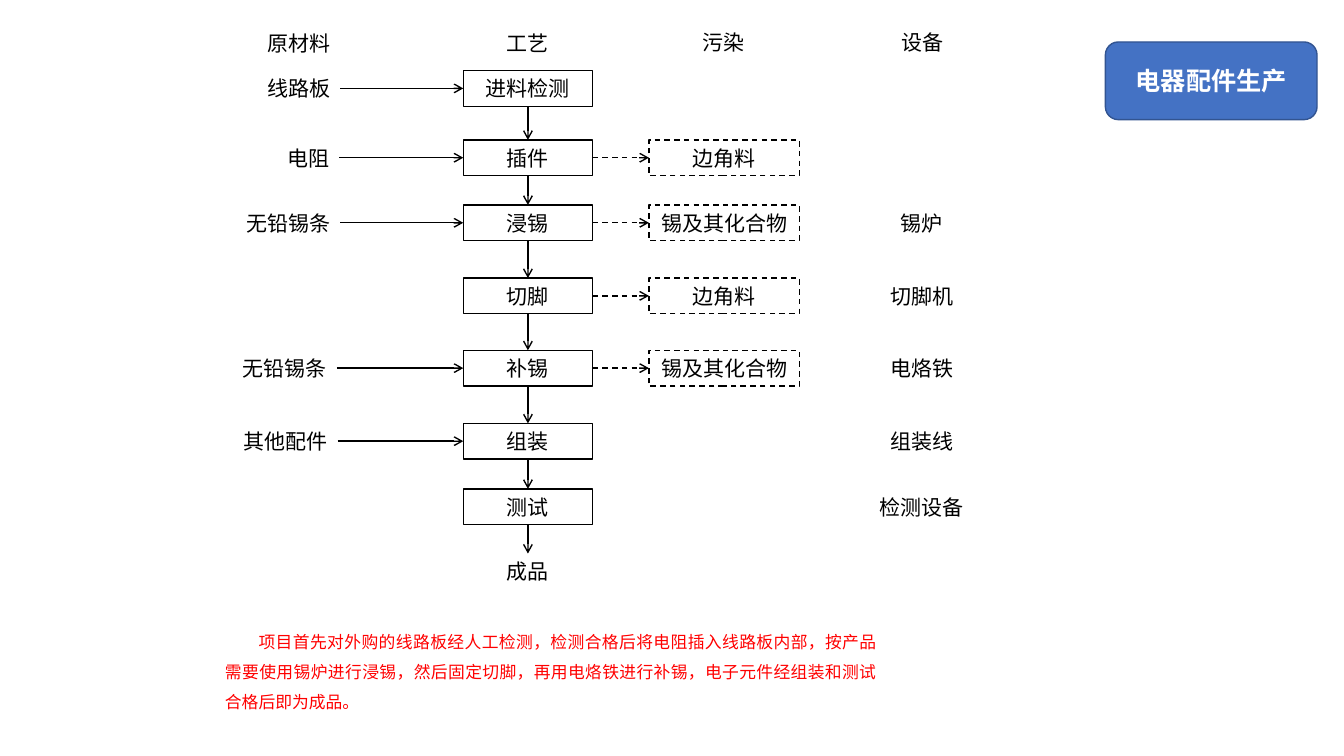
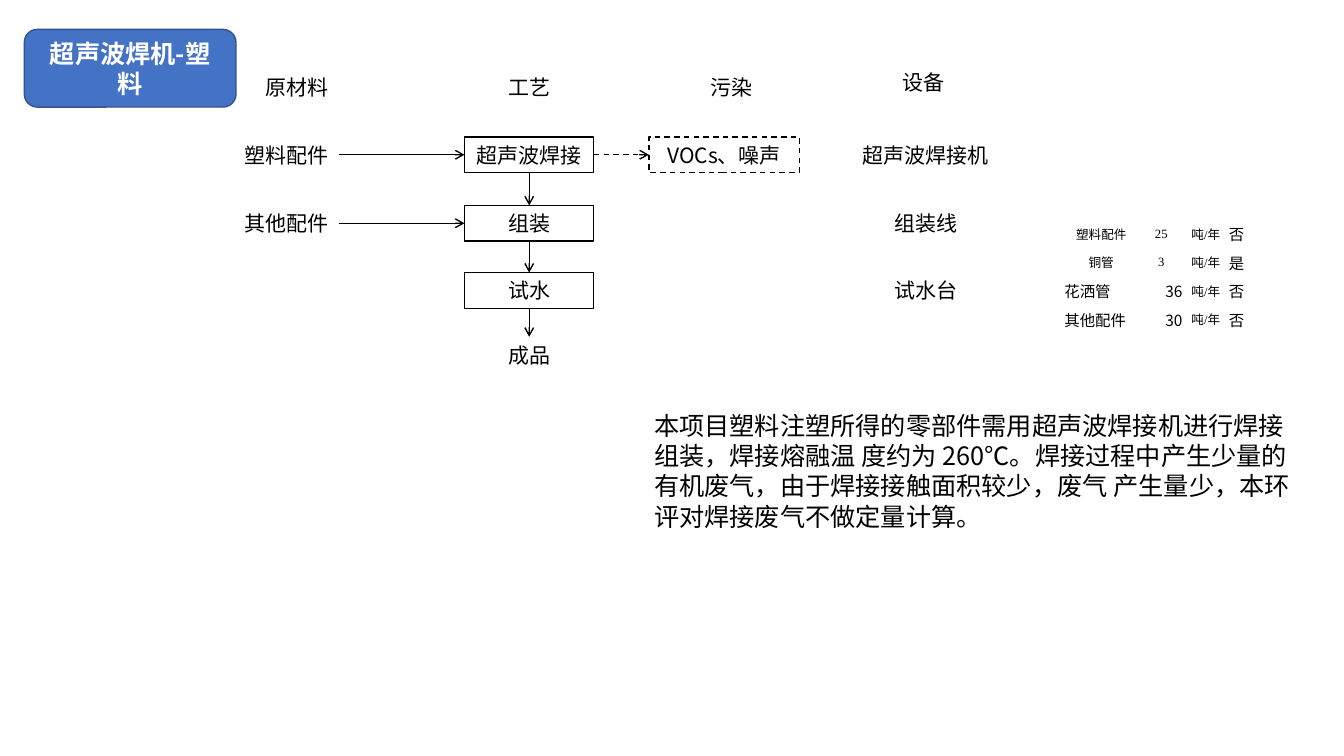
import dataclasses
import pptx
import pptx.util
import pptx.dml.color
import pptx.enum.dml
import pptx.enum.shapes
import pptx.enum.text
import pptx.oxml.ns
import lxml.etree

ALIGN = pptx.enum.text.PP_ALIGN
ANCHOR = pptx.enum.text.MSO_ANCHOR
SHAPE = pptx.enum.shapes.MSO_SHAPE


@dataclasses.dataclass(frozen=True)
class Theme:
    sans: str = "Noto Sans CJK SC"
    serif: str = "Times New Roman"
    ink: str = "000000"
    paper: str = "FFFFFF"
    alert: str = "FF0000"
    badge: str = "4472C4"
    edge: str = "325491"
    large: float = 18
    label: float = 15
    note: float = 12
    cell: float = 11
    small: float = 9
    stroke: float = 1
    lead: float = 21.5


class Deck:
    """Draws process charts on a grid of 160 columns by 90 rows."""

    COLS, ROWS = 160, 90
    HIGH = 4.25
    STEP, STEP_W = 62.85, 15.4
    WASTE, WASTE_W = 86.2, 17.9
    GEAR_W, FEED_W = 18, 14

    def __init__(self, theme):
        self.theme = theme
        self.show = pptx.Presentation()
        self.show.slide_height = pptx.util.Inches(7.5)
        self.unit = self.show.slide_height / self.ROWS
        self.show.slide_width = self.grid(self.COLS)[0]
        self.page = None

    def new(self):
        self.page = self.show.slides.add_slide(self.show.slide_layouts[6]).shapes

    def grid(self, *cells):
        return [pptx.util.Emu(round(cell * self.unit)) for cell in cells]

    def tint(self, code):
        return pptx.dml.color.RGBColor.from_string(code)

    def run(self, para, text, size, color=None, font=None, bold=False):
        run = para.add_run()
        run.text = text
        run.font.size = pptx.util.Pt(size)
        run.font.bold = bold
        run.font.color.rgb = self.tint(color or self.theme.ink)
        run.font.name = font or self.theme.sans
        east = lxml.etree.SubElement(run.font._element, pptx.oxml.ns.qn("a:ea"))
        east.set("typeface", self.theme.sans)

    def letter(self, shape, text, size, align=ALIGN.CENTER, **style):
        frame = shape.text_frame
        frame.word_wrap = True
        frame.vertical_anchor = ANCHOR.MIDDLE
        frame.margin_top = frame.margin_bottom = 0
        para = frame.paragraphs[0]
        para.alignment = align
        self.run(para, text, size, **style)
        return para

    def label(self, text, left, top, width, align=ALIGN.CENTER):
        shape = self.page.add_textbox(*self.grid(left, top, width, self.HIGH))
        self.letter(shape, text, self.theme.label, align)
        return shape

    def middle(self, text, center, top, width):
        return self.label(text, center - width / 2, top, width)

    def feed(self, text, right, top):
        return self.label(text, right - self.FEED_W, top, self.FEED_W, ALIGN.RIGHT)

    def form(self, kind, left, top, width, high, fill, edge):
        shape = self.page.add_shape(kind, *self.grid(left, top, width, high))
        shape.shadow.inherit = False
        shape.fill.solid()
        shape.fill.fore_color.rgb = self.tint(fill)
        shape.line.color.rgb = self.tint(edge)
        shape.line.width = pptx.util.Pt(self.theme.stroke)
        return shape

    def box(self, text, center, top, width, dashed=False):
        shape = self.form(SHAPE.RECTANGLE, center - width / 2, top, width,
                          self.HIGH, self.theme.paper, self.theme.ink)
        if dashed:
            shape.line.dash_style = pptx.enum.dml.MSO_LINE.DASH
        self.letter(shape, text, self.theme.label)
        return shape

    def badge(self, text, left, top):
        shape = self.form(SHAPE.ROUNDED_RECTANGLE, left, top, 25.2, 9.25,
                          self.theme.badge, self.theme.edge)
        para = self.letter(shape, text, self.theme.large,
                           color=self.theme.paper, bold=True)
        para.line_spacing = pptx.util.Pt(self.theme.lead)

    def arrow(self, start, leave, end, enter, dashed=False):
        line = self.page.add_connector(
            pptx.enum.shapes.MSO_CONNECTOR.STRAIGHT, 0, 0, 0, 0)
        line.begin_connect(start, leave)
        line.end_connect(end, enter)
        line.line.color.rgb = self.tint(self.theme.ink)
        line.line.width = pptx.util.Pt(self.theme.stroke)
        if dashed:
            line.line.dash_style = pptx.enum.dml.MSO_LINE.DASH
        tail = lxml.etree.SubElement(line.line._get_or_add_ln(),
                                     pptx.oxml.ns.qn("a:tailEnd"))
        tail.set("type", "arrow")
        lxml.etree.SubElement(line._element.spPr, pptx.oxml.ns.qn("a:effectLst"))

    def heads(self, feed, step, waste, gear):
        self.feed("原材料", *feed)
        for text, spot in (("工艺", step), ("污染", waste), ("设备", gear)):
            self.middle(text, *spot, 12)

    def flow(self, rows, last, step, gears):
        prior = None
        for top, source, right, name, waste, gear in rows:
            box = self.box(name, step, top, self.STEP_W)
            if prior:
                self.arrow(prior, 2, box, 0)
            if source:
                self.arrow(self.feed(source, right, top), 3, box, 1)
            if waste:
                side = self.box(waste, self.WASTE, top, self.WASTE_W, True)
                self.arrow(box, 3, side, 1, True)
            if gear:
                self.middle(gear, gears, top, self.GEAR_W)
            prior = box
        self.arrow(prior, 2, self.middle("成品", step, last, self.STEP_W), 0)

    def note(self, text, left, top, high, size, align=ALIGN.LEFT, indent=0, **style):
        shape = self.page.add_textbox(*self.grid(left, top, 80, high))
        para = self.letter(shape, text, size, align, **style)
        shape.text_frame.vertical_anchor = ANCHOR.TOP
        para.line_spacing = pptx.util.Pt(self.theme.lead)
        if indent:
            para._p.get_or_add_pPr().set("indent", str(self.grid(indent)[0]))

    def cell(self, cell, runs, align, anchor=ANCHOR.MIDDLE):
        cell.fill.background()
        cell.vertical_anchor = anchor
        cell.margin_left = cell.margin_right = cell.margin_top = pptx.util.Inches(0.01)
        cell.margin_bottom = pptx.util.Inches(0.05)
        para = cell.text_frame.paragraphs[0]
        para.alignment = align
        for text, size, font in runs:
            self.run(para, text, size, font=font)

    def table(self, rows, left, top, widths, high):
        theme = self.theme
        table = self.page.add_table(
            len(rows), len(widths),
            *self.grid(left, top, sum(widths), high * len(rows))).table
        table.first_row = table.horz_banding = False
        for column, width in zip(table.columns, self.grid(*widths)):
            column.width = width
        rate = [("吨", theme.small, theme.sans), ("/", theme.small, theme.serif),
                ("年", theme.small, theme.sans)]
        for index, (name, amount, flag, small) in enumerate(rows):
            size = theme.small if small else theme.cell
            font = theme.serif if small else theme.sans
            first, second = ((ALIGN.CENTER, ALIGN.CENTER) if small
                             else (ALIGN.LEFT, ALIGN.RIGHT))
            self.cell(table.cell(index, 0), [(name, size, theme.sans)], first)
            self.cell(table.cell(index, 1), [(amount, size, font)], second)
            self.cell(table.cell(index, 2), rate, ALIGN.CENTER)
            self.cell(table.cell(index, 3), [(flag, theme.cell, theme.sans)],
                      ALIGN.LEFT, ANCHOR.BOTTOM)


def parts(deck):
    deck.new()
    deck.heads((40.5, 3), (62.85, 3), (86.15, 2.9), (109.8, 2.9))
    deck.flow([
        (8.4, "线路板", 40.5, "进料检测", None, None),
        (16.65, "电阻", 40.4, "插件", "边角料", None),
        (24.4, "无铅锡条", 40.5, "浸锡", "锡及其化合物", "锡炉"),
        (33.1, None, None, "切脚", "边角料", "切脚机"),
        (41.7, "无铅锡条", 40.1, "补锡", "锡及其化合物", "电烙铁"),
        (50.4, "其他配件", 40.2, "组装", None, "组装线"),
        (58.2, None, None, "测试", None, "检测设备"),
    ], 65.9, deck.STEP, 109.75)
    deck.note("项目首先对外购的线路板经人工检测，检测合格后将电阻插入线路板内部，"
              "按产品需要使用锡炉进行浸锡，然后固定切脚，再用电烙铁进行补锡，"
              "电子元件经组装和测试合格后即为成品。",
              25.6, 74, 12, deck.theme.note, ALIGN.JUSTIFY, 4,
              color=deck.theme.alert, font=deck.theme.serif)
    deck.badge("电器配件生产", 131.6, 5)


def welder(deck):
    deck.new()
    deck.table([("塑料配件", "25", "否", True), ("铜管", "3", "是", True),
                ("花洒管", "36", "否", False), ("其他配件", "30", "否", False)],
               126.6, 26.4, (9, 5.3, 5.3, 10.9), 2.4)
    deck.heads((40.3, 8.2), (63, 8.2), (87.1, 8.2), (109.9, 7.7))
    deck.flow([
        (16.3, "塑料配件", 40.3, "超声波焊接", "VOCs、噪声", "超声波焊接机"),
        (24.45, "其他配件", 40.3, "组装", None, "组装线"),
        (32.45, None, None, "试水", None, "试水台"),
    ], 40.1, 63, 110.2)
    deck.note("本项目塑料注塑所得的零部件需用超声波焊接机进行焊接组装，"
              "焊接熔融温 度约为 260℃。焊接过程中产生少量的有机废气，"
              "由于焊接接触面积较少，废气 产生量少，本环评对焊接废气不做定量计算。",
              76.7, 48.9, 15.7, deck.theme.large)
    deck.badge("超声波焊机-塑料", 2.9, 3.5)


def main():
    deck = Deck(Theme())
    parts(deck)
    welder(deck)
    deck.show.save("out.pptx")


if __name__ == "__main__":
    main()
